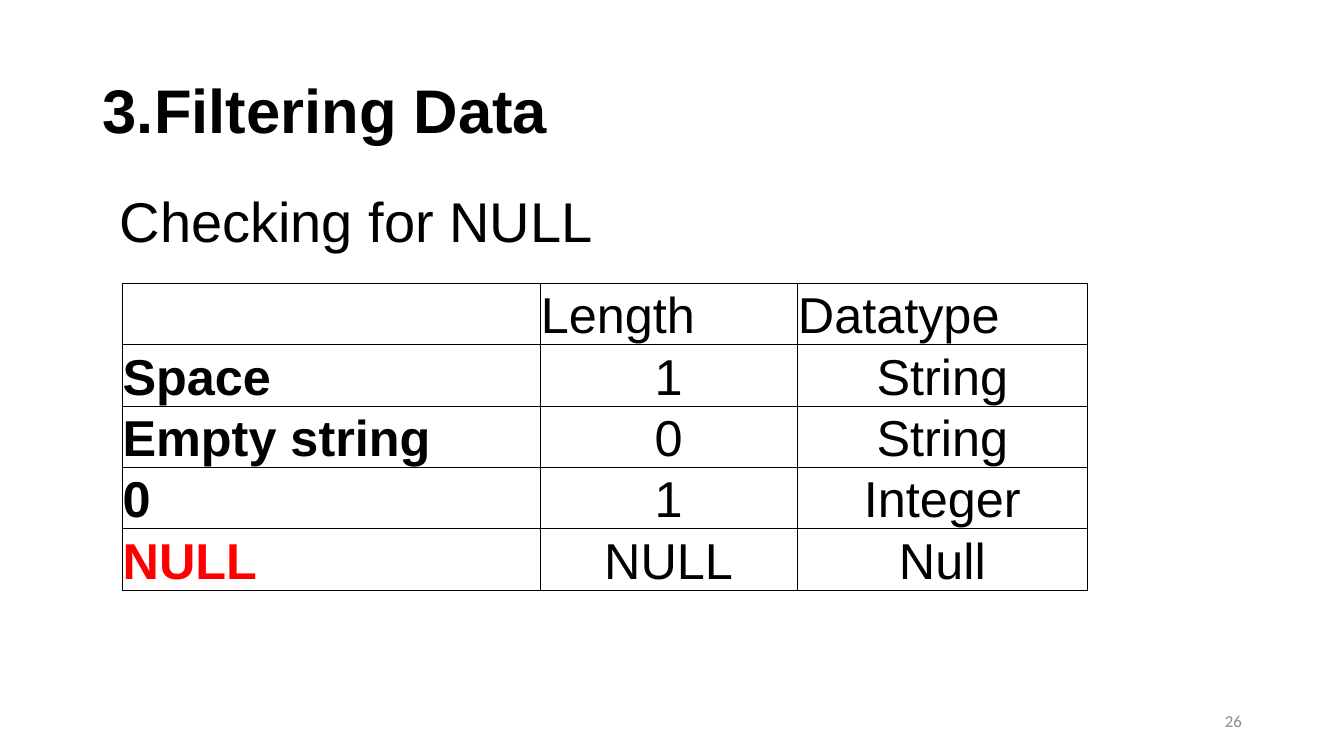
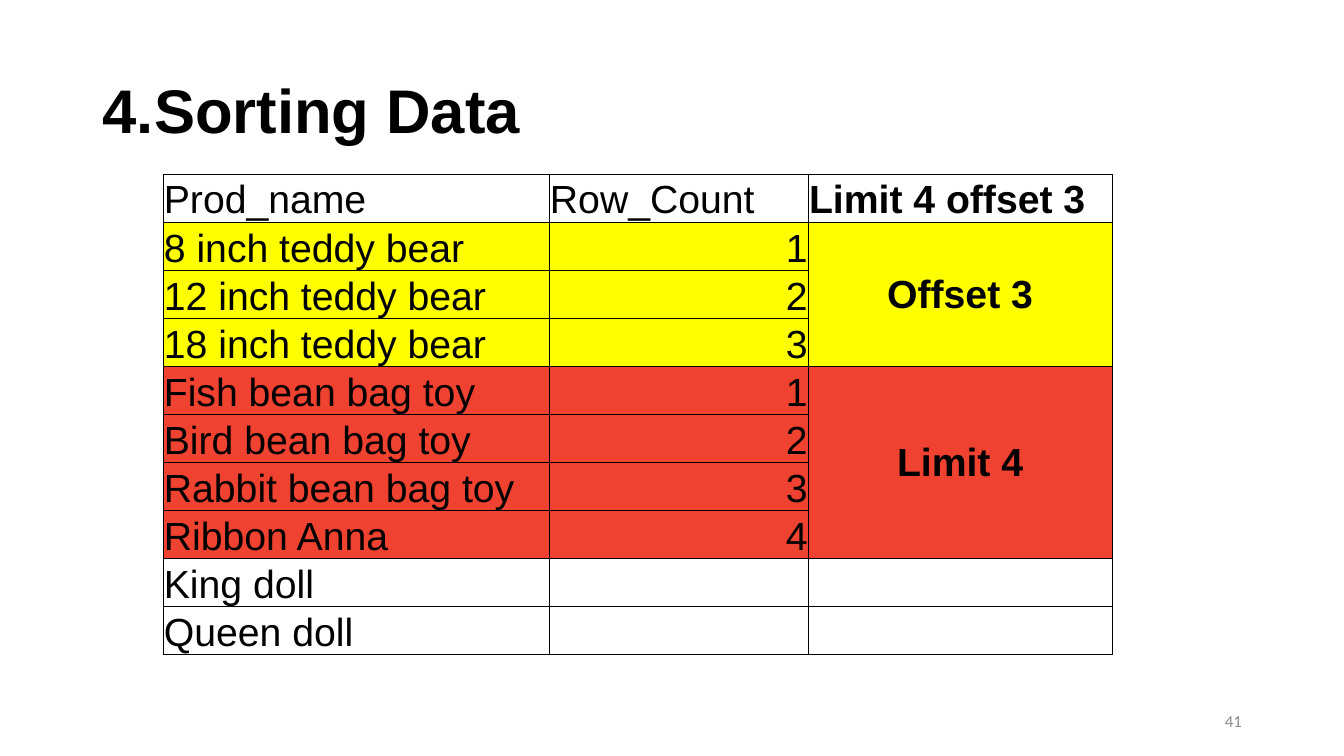
from dataclasses import dataclass

from lxml import etree
from pptx import Presentation
from pptx.dml.color import RGBColor
from pptx.enum.text import MSO_ANCHOR, PP_ALIGN
from pptx.oxml.ns import qn
from pptx.util import Cm, Pt

LEFT, CENTER, RIGHT = PP_ALIGN.LEFT, PP_ALIGN.CENTER, PP_ALIGN.RIGHT
TOP, MIDDLE, BOTTOM = MSO_ANCHOR.TOP, MSO_ANCHOR.MIDDLE, MSO_ANCHOR.BOTTOM


@dataclass(frozen=True)
class Theme:
    font: str = "Arial"
    number_font: str = "Calibri"
    ink: str = "000000"
    gray: str = "8C8C8C"
    alert: str = "FF0000"
    yellow: str = "FFFF00"
    red: str = "F04230"
    title_size: int = 44
    subtitle_size: int = 40
    number_size: int = 12
    border: float = 0.5


THEME = Theme()
SLIDE_SIZE = (33.87, 19.05)
TITLE_AREA = (2.34, 1.02, 29.21, 3.68)
SUBTITLE_AREA = (2.77, 4.78, 24.92, 1.8)
NUMBER_AREA = (23.93, 17.65, 7.62, 1.02)
CELL_MARGINS = {"margin_left": Cm(0.02), "margin_right": Cm(0.02), "margin_top": Cm(0.02), "margin_bottom": 0}

SLIDES = [
    {
        "title": "3.Filtering Data",
        "subtitle": "Checking for NULL",
        "number": "26",
        "table": {
            "origin": (3.07, 7.14),
            "columns": (10.54, 6.48, 7.32),
            "row_height": 1.44,
            "size": 36,
            "aligns": (LEFT, CENTER, CENTER),
            "bold_labels": True,
            "rows": [
                ("", "Length", "Datatype"),
                ("Space", "1", "String"),
                ("Empty string", "0", "String"),
                ("0", "1", "Integer"),
                ("NULL", "NULL", "Null"),
            ],
            "alerts": {(4, 0)},
            "bands": [],
        },
    },
    {
        "title": "4.Sorting Data",
        "number": "41",
        "table": {
            "origin": (4.11, 4.39),
            "columns": (9.73, 6.53, 7.65),
            "row_height": 1.21,
            "size": 28,
            "aligns": (LEFT, RIGHT, CENTER),
            "bold_labels": False,
            "rows": [
                ("Prod_name", "Row_Count", "Limit 4 offset 3"),
                ("8 inch teddy bear", "1", "Offset 3"),
                ("12 inch teddy bear", "2", ""),
                ("18 inch teddy bear", "3", ""),
                ("Fish bean bag toy", "1", "Limit 4"),
                ("Bird bean bag toy", "2", ""),
                ("Rabbit bean bag toy", "3", ""),
                ("Ribbon Anna", "4", ""),
                ("King doll", "", ""),
                ("Queen doll", "", ""),
            ],
            "bold_cells": {(0, 2), (1, 2), (4, 2)},
            "alerts": set(),
            "bands": [(1, 3, THEME.yellow), (4, 7, THEME.red)],
        },
    },
]


def apply(target, values):
    for name, value in values.items():
        setattr(target, name, value)


def write(frame, text, size, color=THEME.ink, bold=False, font=THEME.font, align=LEFT, spacing=None):
    para = frame.paragraphs[0]
    apply(para, {"alignment": align, "line_spacing": spacing})
    if text:
        span = para.add_run()
        span.text = text
        apply(span.font, {"name": font, "size": Pt(size), "bold": bold})
        span.font.color.rgb = RGBColor.from_string(color)


def add_text(page, area, text, size, anchor=MIDDLE, **style):
    box = page.shapes.add_textbox(*map(Cm, area))
    apply(box.text_frame, {"word_wrap": True, "vertical_anchor": anchor})
    write(box.text_frame, text, size, **style)


def add_borders(cell):
    properties = cell._tc.get_or_add_tcPr()
    for position, side in enumerate(("a:lnL", "a:lnR", "a:lnT", "a:lnB")):
        line = etree.Element(qn(side), w=str(Pt(THEME.border)))
        fill = etree.SubElement(line, qn("a:solidFill"))
        etree.SubElement(fill, qn("a:srgbClr"), val=THEME.ink)
        properties.insert(position, line)


def add_grid(page, data):
    rows, columns = data["rows"], data["columns"]
    height = data["row_height"]
    area = (*data["origin"], sum(columns), height * len(rows))
    table = page.shapes.add_table(len(rows), len(columns), *map(Cm, area)).table
    apply(table, {"first_row": False, "horz_banding": False})
    for column, width in zip(table.columns, columns):
        column.width = Cm(width)
    fills = {row: color for first, last, color in data["bands"] for row in range(first, last + 1)}
    merged = {(first, len(columns) - 1) for first, _, _ in data["bands"]}
    for row, texts in enumerate(rows):
        table.rows[row].height = Cm(height)
        for column, text in enumerate(texts):
            spot = (row, column)
            cell = table.cell(*spot)
            apply(cell, {**CELL_MARGINS, "vertical_anchor": MIDDLE if spot in merged else BOTTOM})
            if row in fills:
                cell.fill.solid()
                cell.fill.fore_color.rgb = RGBColor.from_string(fills[row])
            else:
                cell.fill.background()
            add_borders(cell)
            label = data["bold_labels"] and column == 0
            write(
                cell.text_frame, text, data["size"],
                color=THEME.alert if spot in data["alerts"] else THEME.ink,
                bold=label or spot in data.get("bold_cells", ()),
                align=data["aligns"][column] if row else LEFT,
            )
    last_column = len(columns) - 1
    for first, last, _ in data["bands"]:
        table.cell(first, last_column).merge(table.cell(last, last_column))


def add_page(deck, content):
    page = deck.slides.add_slide(deck.slide_layouts[6])
    add_text(page, TITLE_AREA, content["title"], THEME.title_size, bold=True, spacing=0.9)
    if "subtitle" in content:
        add_text(page, SUBTITLE_AREA, content["subtitle"], THEME.subtitle_size, anchor=TOP, spacing=0.9)
    add_grid(page, content["table"])
    add_text(page, NUMBER_AREA, content["number"], THEME.number_size,
             color=THEME.gray, font=THEME.number_font, align=RIGHT)


def main():
    deck = Presentation()
    apply(deck, dict(zip(("slide_width", "slide_height"), map(Cm, SLIDE_SIZE))))
    for content in SLIDES:
        add_page(deck, content)
    deck.save("out.pptx")


if __name__ == "__main__":
    main()
